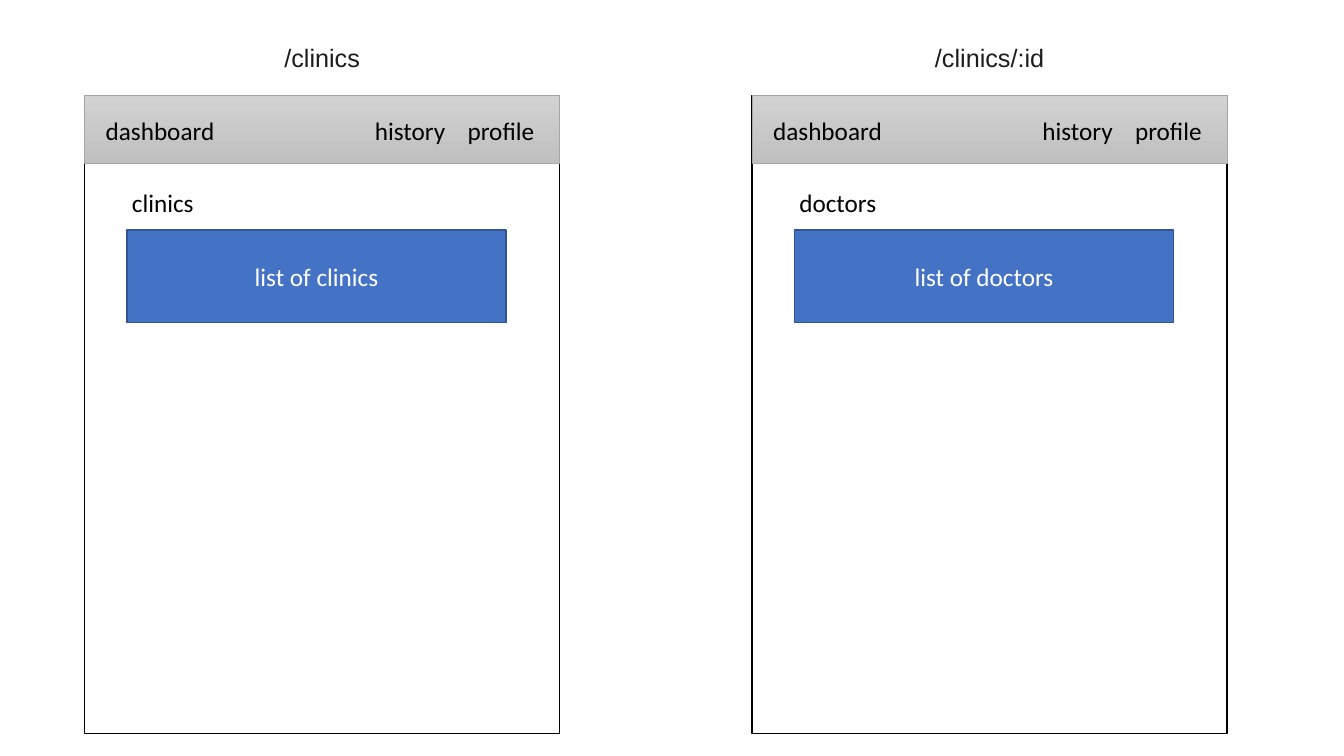
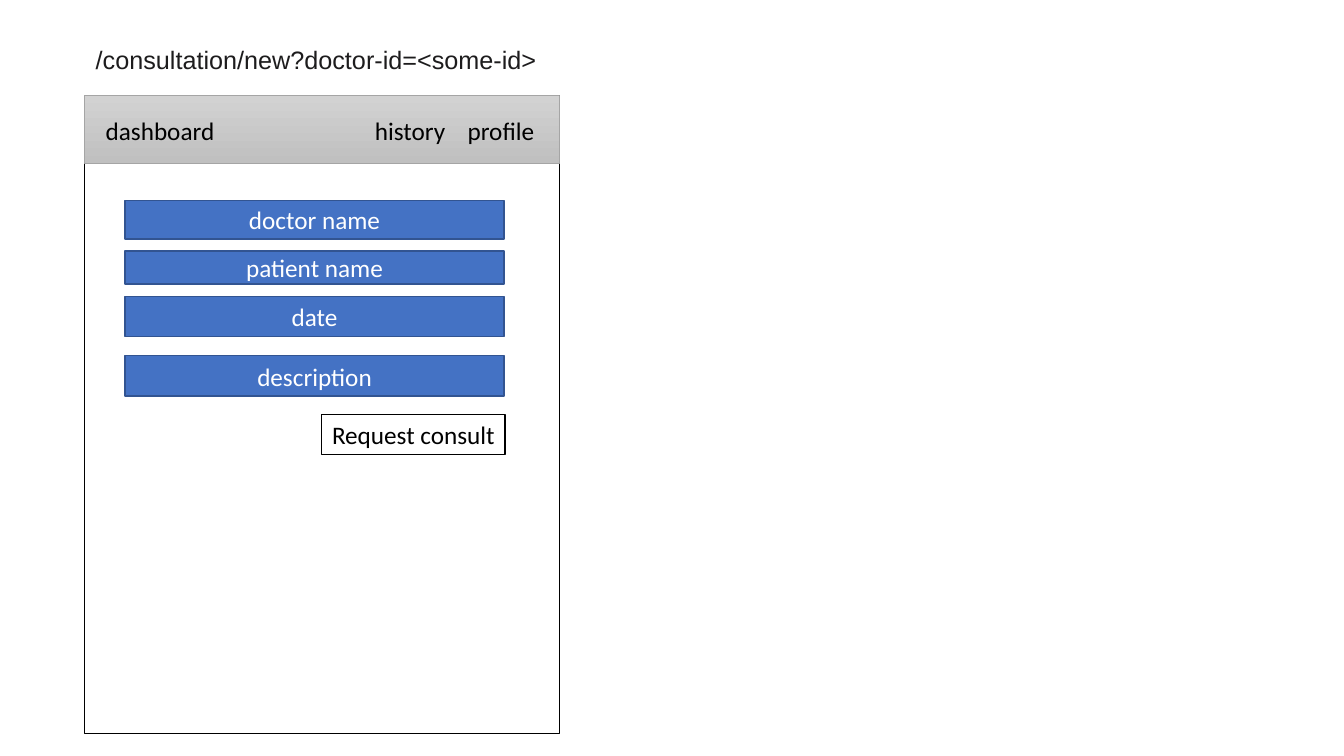
"""Wireframes of the clinic screens and the consultation form."""
from pptx import Presentation
from pptx.dml.color import RGBColor
from pptx.enum import shapes, text
from pptx.util import Inches, Pt

BLACK = RGBColor(0x00, 0x00, 0x00)
WHITE = RGBColor(0xFF, 0xFF, 0xFF)
INK = RGBColor(0x1D, 0x1C, 0x1D)
BLUE = RGBColor(0x44, 0x72, 0xC4)
BLUE_EDGE = RGBColor(0x32, 0x54, 0x91)
BAR_TOP = RGBColor(0xD2, 0xD2, 0xD2)
BAR_BOTTOM = RGBColor(0xC0, 0xC0, 0xC0)
BAR_EDGE = RGBColor(0xA5, 0xA5, 0xA5)

LEFT_SCREEN, RIGHT_SCREEN = 0.84, 7.46
SCREEN_TOP, SCREEN_W, SCREEN_H = 0.95, 4.71, 6.33
BAR_H, FIELD_W, LINE_H = 0.67, 3.76, 0.4
NAV = [("dashboard", 0.11, 1.37), ("history", 2.78, 1.0), ("profile", 3.7, 1.0)]


def write(sp, words, font="Calibri", color=BLACK, align=text.PP_ALIGN.LEFT,
          anchor=text.MSO_ANCHOR.TOP, wrap=True):
    """Put one formatted line of text into a shape."""
    tf = sp.text_frame
    tf.word_wrap = wrap
    tf.auto_size = text.MSO_AUTO_SIZE.NONE
    tf.vertical_anchor = anchor
    p = tf.paragraphs[0]
    p.alignment = align
    r = p.add_run()
    r.text = words
    r.font.name, r.font.size = font, Pt(18)
    r.font.color.rgb = color


class Wireframe:
    """Hold the presentation, the current slide and the shared style."""

    def __init__(self):
        """Start a wide, empty presentation."""
        self.prs = Presentation()
        self.prs.slide_width, self.prs.slide_height = Inches(13.33), Inches(7.5)
        self.slide = None

    def add_slide(self, address, x, y):
        """Add a slide titled with the address of its first screen."""
        self.slide = self.prs.slides.add_slide(self.prs.slide_layouts[5])
        sp = self.slide.shapes.title
        sp.left, sp.top = Inches(x), Inches(y)
        sp.width, sp.height = Inches(SCREEN_W), Inches(LINE_H)
        self.address(sp, address)

    def address(self, sp, words):
        """Write a screen address in its own style."""
        write(sp, words, font="Arial", color=INK, align=text.PP_ALIGN.CENTER)

    def textbox(self, x, y, w):
        """Add an empty one-line text box."""
        return self.slide.shapes.add_textbox(
            Inches(x), Inches(y), Inches(w), Inches(LINE_H))

    def box(self, x, y, w, h, fill=None, line=BLACK, weight=1):
        """Add a rectangle with a flat fill or none."""
        sp = self.slide.shapes.add_shape(
            shapes.MSO_SHAPE.RECTANGLE, Inches(x), Inches(y), Inches(w), Inches(h))
        sp.shadow.inherit = False
        if fill is None:
            sp.fill.background()
        else:
            sp.fill.solid()
            sp.fill.fore_color.rgb = fill
        sp.line.color.rgb = line
        sp.line.width = Pt(weight)
        return sp

    def screen(self, x):
        """Draw a screen outline with its navigation bar."""
        self.box(x, SCREEN_TOP, SCREEN_W, SCREEN_H)
        bar = self.box(x, SCREEN_TOP, SCREEN_W, BAR_H, line=BAR_EDGE, weight=0.5)
        bar.fill.gradient()
        bar.fill.gradient_angle = 270
        for stop, color in zip(bar.fill.gradient_stops, (BAR_TOP, BAR_BOTTOM)):
            stop.color.rgb = color
        for label, dx, w in NAV:
            write(self.textbox(x + dx, 1.09, w), label)

    def field(self, words, x, y, h):
        """Draw a blue field with a centred label."""
        sp = self.box(x, y, FIELD_W, h, BLUE, BLUE_EDGE)
        write(sp, words, color=WHITE, align=text.PP_ALIGN.CENTER,
              anchor=text.MSO_ANCHOR.MIDDLE)

    def button(self, words, x, y, w):
        """Draw a white button with a black edge."""
        sp = self.box(x, y, w, LINE_H, WHITE)
        write(sp, words, align=text.PP_ALIGN.CENTER, wrap=False)

    def list_screen(self, x, heading):
        """Draw a screen that shows a headed list."""
        self.screen(x)
        write(self.textbox(x + 0.37, 1.81, 3.86), heading)
        self.field(f"list of {heading}", x + 0.42, 2.28, 0.92)


def main():
    """Build both slides and save them."""
    wf = Wireframe()
    wf.add_slide("/clinics", LEFT_SCREEN, 0.37)
    wf.list_screen(LEFT_SCREEN, "clinics")
    wf.address(wf.textbox(RIGHT_SCREEN, 0.37, SCREEN_W), "/clinics/:id")
    wf.list_screen(RIGHT_SCREEN, "doctors")

    wf.add_slide("/consultation/new?doctor-id=<some-id>", 0.78, 0.39)
    wf.screen(LEFT_SCREEN)
    for label, y, h in [("doctor name", 1.99, 0.38), ("patient name", 2.49, 0.33),
                        ("date", 2.94, 0.4), ("description", 3.53, 0.4)]:
        wf.field(label, LEFT_SCREEN + 0.4, y, h)
    wf.button("Request consult", 3.19, 4.11, 1.82)
    wf.prs.save("out.pptx")


if __name__ == "__main__":
    main()
